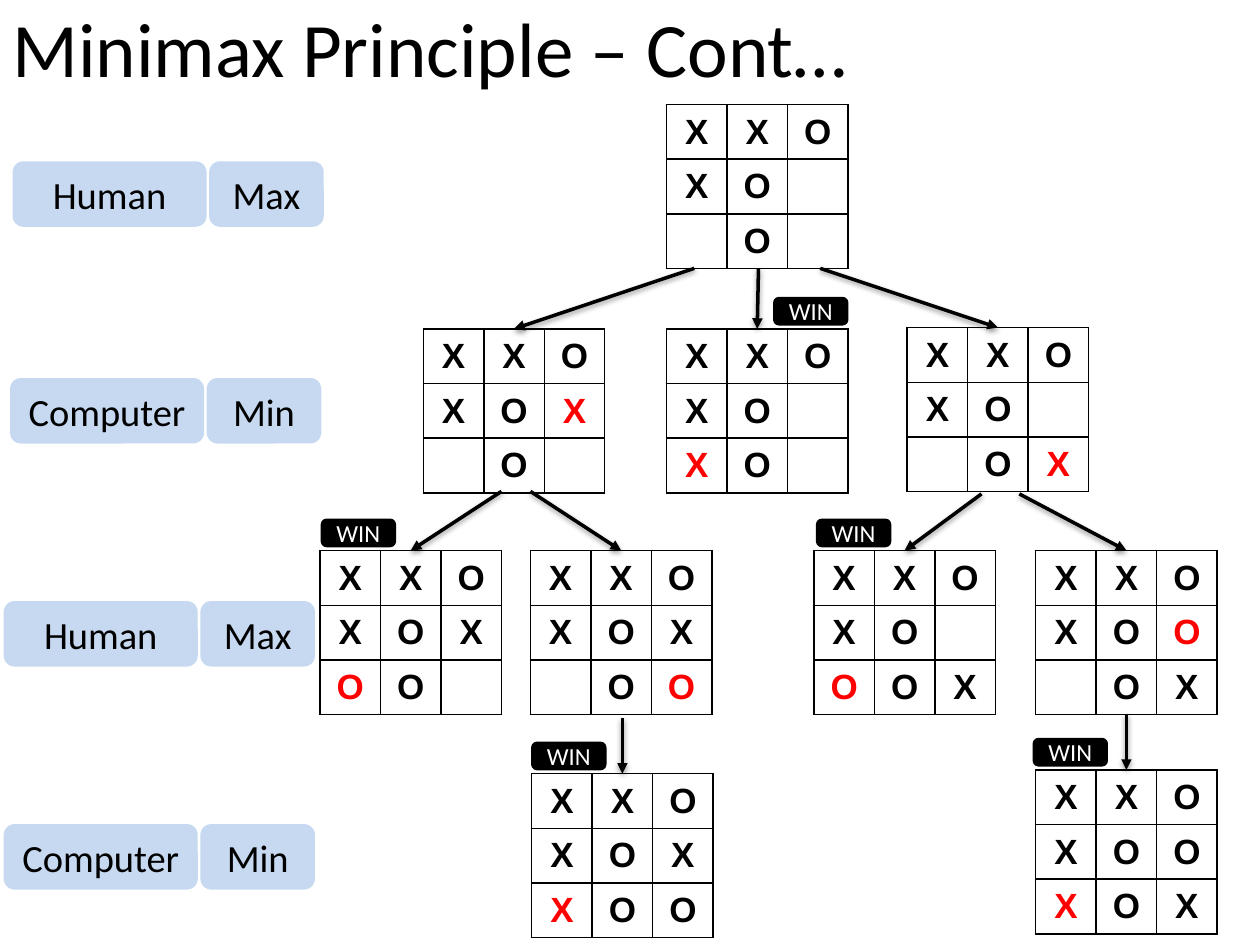
from dataclasses import dataclass
from typing import Optional

from pptx import Presentation
from pptx.dml.color import RGBColor
from pptx.enum.shapes import MSO_CONNECTOR, MSO_SHAPE
from pptx.enum.text import MSO_ANCHOR, PP_ALIGN
from pptx.oxml import parse_xml
from pptx.oxml.ns import nsdecls
from pptx.util import Inches, Pt

STRAIGHT = MSO_CONNECTOR.STRAIGHT
ROUNDED = MSO_SHAPE.ROUNDED_RECTANGLE
MIDDLE = MSO_ANCHOR.MIDDLE
LEFT = PP_ALIGN.LEFT
CENTER = PP_ALIGN.CENTER

CELL_WIDTH = 0.48
CELL_HEIGHT = 0.41
GRID = 3


@dataclass(frozen=True)
class Theme:
    black: str = "000000"
    white: str = "FFFFFF"
    move: str = "FF0000"
    player: str = "C6D9F1"
    text_font: str = "Calibri"
    board_font: str = "Arial"
    title_size: int = 44
    player_size: int = 22
    board_size: int = 20
    win_size: int = 14


@dataclass(frozen=True)
class Board:
    left: float
    top: float
    rows: tuple
    move: Optional[tuple] = None
    arrow_start: Optional[tuple] = None
    win_left: Optional[float] = None


THEME = Theme()

BOARDS = (
    Board(5.29, 0.83, ("XXO", "XO ", " O ")),
    Board(3.36, 2.61, ("XXO", "XOX", " O "), (1, 2), (5.51, 2.13)),
    Board(5.29, 2.61, ("XXO", "XO ", "XO "), (2, 0), (6.02, 2.13), 6.15),
    Board(7.2, 2.6, ("XXO", "XO ", " OX"), (2, 2), (6.51, 2.13)),
    Board(2.54, 4.37, ("XXO", "XOX", "OO "), (2, 0), (3.98, 3.9), 2.56),
    Board(4.21, 4.37, ("XXO", "XOX", " OO"), (2, 2), (4.21, 3.9)),
    Board(6.46, 4.37, ("XXO", "XO ", "OOX"), (2, 0), (7.79, 3.92), 6.49),
    Board(8.22, 4.37, ("XXO", "XOO", " OX"), (1, 2), (8.09, 3.92)),
    Board(4.22, 6.14, ("XXO", "XOX", "XOO"), (2, 0), (4.94, 5.7), 4.23),
    Board(8.22, 6.11, ("XXO", "XOO", "XOX"), (2, 0), (8.94, 5.67), 8.21),
)

PLAYERS = (
    (0.1, 1.28, "Human", "Max"),
    (0.08, 3, "Computer", "Min"),
    (0.03, 4.77, "Human", "Max"),
    (0.03, 6.54, "Computer", "Min"),
)


def write_text(frame, text, size, color=THEME.black, font=THEME.text_font,
               bold=False, align=CENTER):
    paragraph = frame.paragraphs[0]
    paragraph.alignment = align
    run = paragraph.add_run()
    run.text = text
    run.font.name = font
    run.font.size = Pt(size)
    run.font.bold = bold
    run.font.color.rgb = RGBColor.from_string(color)


def add_title(slide, text):
    shape = slide.shapes.add_textbox(Inches(0), Inches(-0.07), Inches(9.58), Inches(0.88))
    shape.text_frame.word_wrap = True
    shape.text_frame.vertical_anchor = MIDDLE
    write_text(shape.text_frame, text, THEME.title_size, align=LEFT)


def add_label(slide, text, left, top, width, height, fill, size, color, outlined=False):
    shape = slide.shapes.add_shape(
        ROUNDED, Inches(left), Inches(top), Inches(width), Inches(height))
    shape.shadow.inherit = False
    shape.fill.solid()
    shape.fill.fore_color.rgb = RGBColor.from_string(fill)
    if outlined:
        shape.line.color.rgb = RGBColor.from_string(fill)
        shape.line.width = Pt(2)
    else:
        shape.line.fill.background()
    frame = shape.text_frame
    frame.word_wrap = True
    frame.vertical_anchor = MIDDLE
    frame.margin_left = frame.margin_right = 0
    frame.margin_top = frame.margin_bottom = 0
    write_text(frame, text, size, color=color)


def add_cell_borders(cell):
    properties = cell._tc.get_or_add_tcPr()
    for side in ("lnL", "lnR", "lnT", "lnB"):
        properties.append(parse_xml(
            f'<a:{side} {nsdecls("a")} w="{Pt(1)}"><a:solidFill>'
            f'<a:srgbClr val="{THEME.black}"/></a:solidFill></a:{side}>'))


def add_board(slide, board):
    table = slide.shapes.add_table(
        GRID, GRID, Inches(board.left), Inches(board.top),
        Inches(GRID * CELL_WIDTH), Inches(GRID * CELL_HEIGHT)).table
    table.first_row = False
    table.horz_banding = False
    for row_index, marks in enumerate(board.rows):
        table.rows[row_index].height = Inches(CELL_HEIGHT)
        for column_index, mark in enumerate(marks):
            cell = table.cell(row_index, column_index)
            add_cell_borders(cell)
            cell.fill.background()
            cell.vertical_anchor = MIDDLE
            if mark != " ":
                is_move = (row_index, column_index) == board.move
                write_text(cell.text_frame, mark, THEME.board_size,
                           color=THEME.move if is_move else THEME.black,
                           font=THEME.board_font, bold=True)


def add_arrow(slide, board):
    start_x, start_y = board.arrow_start
    end_x = board.left + GRID * CELL_WIDTH / 2
    connector = slide.shapes.add_connector(
        STRAIGHT, Inches(start_x), Inches(start_y), Inches(end_x), Inches(board.top))
    connector.line.color.rgb = RGBColor.from_string(THEME.black)
    connector.line.width = Pt(2)
    connector.line._get_or_add_ln().append(
        parse_xml(f'<a:tailEnd {nsdecls("a")} type="triangle"/>'))
    connector._element.spPr.append(parse_xml(
        f'<a:effectLst {nsdecls("a")}>'
        f'<a:outerShdw blurRad="{Pt(3.1)}" dist="{Pt(1.6)}" dir="5400000" rotWithShape="0">'
        f'<a:srgbClr val="{THEME.black}"><a:alpha val="38000"/></a:srgbClr>'
        '</a:outerShdw></a:effectLst>'))


def main():
    presentation = Presentation()
    presentation.slide_width = Inches(10)
    presentation.slide_height = Inches(7.5)
    slide = presentation.slides.add_slide(presentation.slide_layouts[6])

    add_title(slide, "Minimax Principle – Cont…")
    for board in BOARDS:
        add_board(slide, board)
    for left, top, player, goal in PLAYERS:
        for text, offset, width in ((goal, 1.56, 0.91), (player, 0, 1.54)):
            add_label(slide, text, left + offset, top, width, 0.52,
                      THEME.player, THEME.player_size, THEME.black)
    for board in BOARDS:
        if board.arrow_start is not None:
            add_arrow(slide, board)
    for board in BOARDS:
        if board.win_left is not None:
            add_label(slide, "WIN", board.win_left, board.top - 0.24, 0.57, 0.2,
                      THEME.black, THEME.win_size, THEME.white, outlined=True)

    presentation.save("out.pptx")


if __name__ == "__main__":
    main()
